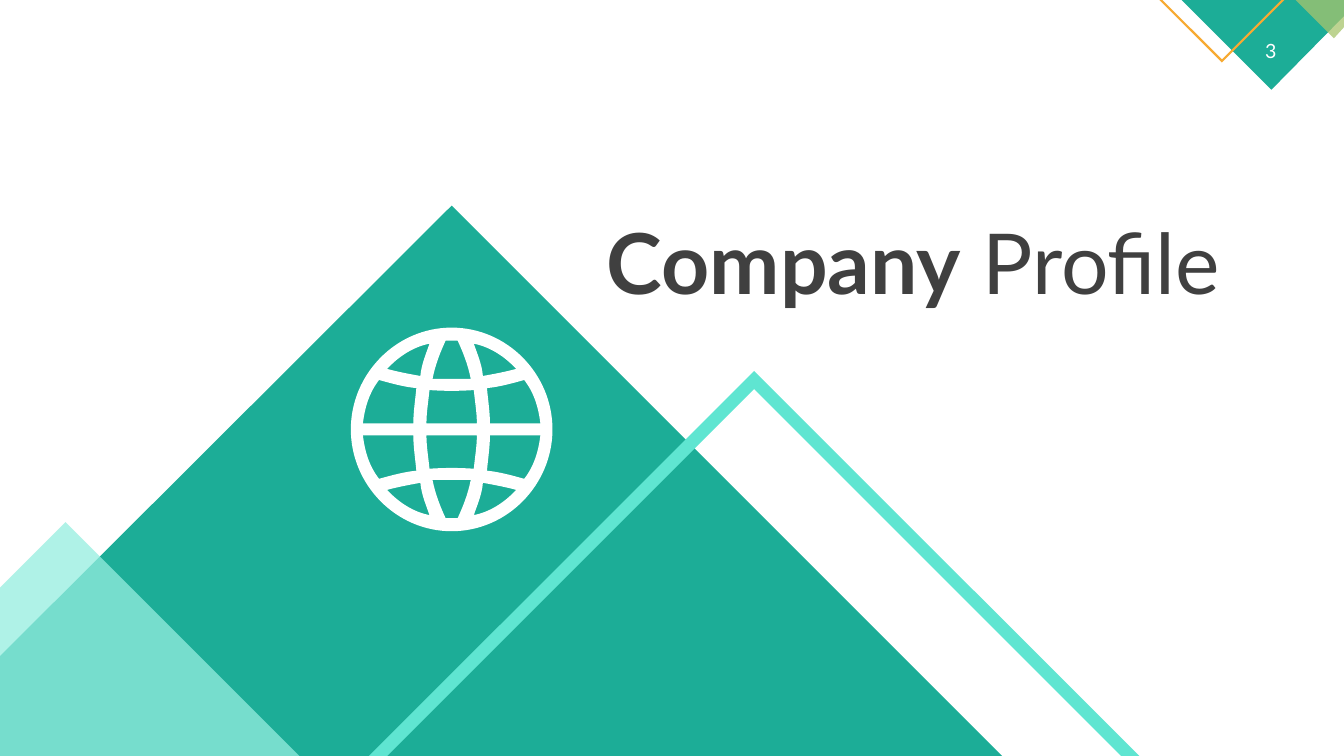
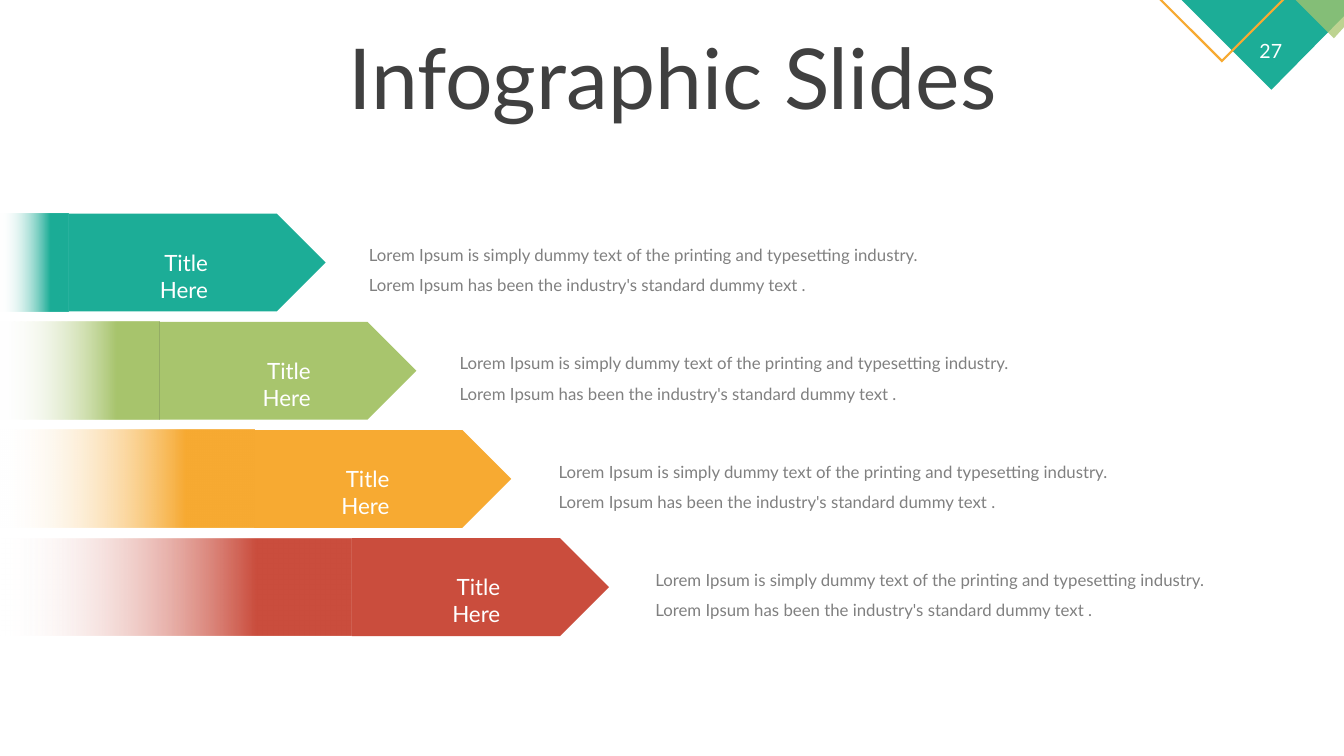
from dataclasses import dataclass

from lxml.etree import SubElement
from pptx import Presentation
from pptx.dml.color import RGBColor
from pptx.enum.shapes import MSO_SHAPE as Preset
from pptx.enum.text import MSO_AUTO_SIZE as AutoSize, PP_ALIGN as Align
from pptx.oxml.ns import qn
from pptx.util import Inches, Pt


@dataclass(frozen=True)
class Theme:
    font: str = "Lato"
    teal: str = "1CAD97"
    aqua: str = "5FE5D1"
    mist: str = "95EEE0"
    green: str = "A8C56D"
    orange: str = "F7AA32"
    red: str = "CA4D3D"
    white: str = "FFFFFF"
    ink: str = "404040"
    gray: str = "808080"
    title: int = 60
    label: int = 16
    number: int = 14
    body: int = 12


THEME = Theme()

COVER = {"number": "3", "title": [("Company", True), (" Profile", False)],
         "box": (5.92, 2.04, 6.46, 1.11)}
INFOGRAPHIC = {"number": "27", "title": [("Infographic Slides", False)],
               "box": (3.32, 0.2, 6.7, 1.11)}

LOREM = ("Lorem Ipsum is simply dummy text of the printing and typesetting industry. "
         "Lorem Ipsum has been the industry's standard dummy text .")
STEPS = [
    ("Title Here", LOREM, THEME.teal, 0.68, 1.05, 3.66),
    ("Title Here", LOREM, THEME.green, 1.58, 2.07, 4.56),
    ("Title Here", LOREM, THEME.orange, 2.52, 2.85, 5.54),
    ("Title Here", LOREM, THEME.red, 3.49, 3.95, 6.5),
]
FIRST_TOP, LAST_TOP, STEP_HEIGHT, ARROW_WIDTH = 2.12, 5.34, 0.97, 2.55

CORNER = [
    ([(11.72, 0), (13.33, 0), (13.33, 0.16), (12.61, 0.89)], THEME.teal, 100),
    ([(11.5, 0), (11.53, 0), (12.12, 0.59), (12.71, 0), (12.74, 0), (12.12, 0.62)],
     THEME.orange, 100),
    ([(12.85, 0), (13.33, 0), (13.33, 0.27), (13.23, 0.38)], THEME.green, 75),
]
MOUNTAINS = [
    ([(0, 7.5), (0, 6.51), (4.48, 2.04), (9.94, 7.5)], THEME.teal, 100),
    ([(3.66, 7.5), (3.84, 7.5), (7.48, 3.86), (11.12, 7.5), (11.3, 7.5), (7.48, 3.68)],
     THEME.aqua, 100),
    ([(0, 7.5), (0, 5.83), (0.65, 5.18), (2.97, 7.5)], THEME.mist, 75),
]

GLOBE_CENTER = (4.48, 4.26)
RIM = [[(0, -1.01)], [(-0.55, -1.01), (-1, -0.55), (-1, 0)],
       [(-1, 0.55), (-0.55, 1.01), (0, 1.01)],
       [(0.55, 1.01), (1, 0.55), (1, 0)],
       [(1, -0.55), (0.55, -1.01), (0, -1.01)]]
SIDE_PANE = [[(0.72, -0.49)], [(0.82, -0.36), (0.86, -0.22), (0.88, -0.06)],
             [(0.38, -0.06)], [(0.38, -0.17), (0.36, -0.3), (0.35, -0.41)],
             [(0.47, -0.42), (0.61, -0.46), (0.72, -0.49)]]
CORNER_PANE = [[(0.64, -0.6)], [(0.53, -0.57), (0.42, -0.55), (0.31, -0.53)],
               [(0.3, -0.65), (0.25, -0.76), (0.22, -0.85)],
               [(0.38, -0.82), (0.53, -0.72), (0.64, -0.6)]]
MIDDLE_PANE = [[(-0.25, -0.06)], [(-0.25, -0.17), (-0.23, -0.28), (-0.22, -0.39)],
               [(-0.08, -0.38), (0.08, -0.38), (0.22, -0.39)],
               [(0.23, -0.28), (0.25, -0.17), (0.25, -0.06)]]
CAP_PANE = [[(-0.06, -0.88)], [(0.06, -0.88)],
            [(0.11, -0.77), (0.16, -0.65), (0.19, -0.5)], [(-0.19, -0.5)],
            [(-0.16, -0.65), (-0.11, -0.77), (-0.06, -0.88)]]
PANES = [(SIDE_PANE, (1, -1)), (CORNER_PANE, (1, -1)), (MIDDLE_PANE, (1,)), (CAP_PANE, (1,))]


def set_alpha(shape, percent):
    color = next(shape._element.spPr.iter(qn("a:srgbClr")))
    SubElement(color, qn("a:alpha")).set("val", str(percent * 1000))


def paint(shape, color, opacity=100):
    shape.shadow.inherit = False
    shape.line.fill.background()
    shape.fill.solid()
    shape.fill.fore_color.rgb = RGBColor.from_string(color)
    if opacity < 100:
        set_alpha(shape, opacity)


def paint_fade(shape, color):
    shape.shadow.inherit = False
    shape.line.fill.background()
    shape.fill.gradient()
    shape.fill.gradient_angle = 0
    for stop, position, tone in zip(shape.fill.gradient_stops, (0, 0.73),
                                    (THEME.white, color)):
        stop.position = position
        stop.color.rgb = RGBColor.from_string(tone)
    set_alpha(shape, 0)


def add_outline(slide, contours, color, opacity=100):
    builder = None
    for contour in contours:
        start, *rest = [(Inches(x), Inches(y)) for x, y in contour]
        if builder is None:
            builder = slide.shapes.build_freeform(*start)
        else:
            builder.move_to(*start)
        builder.add_line_segments(rest, close=True)
    outline = builder.convert_to_shape()
    paint(outline, color, opacity)
    return outline


def bend(outline, segments):
    sides = list(outline._element.spPr.iter(qn("a:lnTo")))
    for side, segment in zip(sides, segments):
        if len(segment) == 1:
            continue
        side.tag = qn("a:cubicBezTo")
        side.remove(side[0])
        for x, y in segment:
            point = SubElement(side, qn("a:pt"))
            point.set("x", str(Inches(x) - outline.left))
            point.set("y", str(Inches(y) - outline.top))


def add_globe(slide):
    center_x, center_y = GLOBE_CENTER

    def place(contour, flip_x=1, flip_y=1):
        return [[(center_x + flip_x * x, center_y + flip_y * y) for x, y in segment]
                for segment in contour]

    contours = [place(RIM)]
    for pane, mirrors in PANES:
        contours += [place(pane, flip_x, flip_y) for flip_x in mirrors for flip_y in (1, -1)]
    anchors = [[segment[-1] for segment in contour] for contour in contours]
    globe = add_outline(slide, anchors, THEME.white)
    bend(globe, [segment for contour in contours for segment in contour[1:]])


def add_preset(slide, preset, *box):
    return slide.shapes.add_shape(preset, *map(Inches, box))


def add_text(slide, box, runs, size, color, align=Align.LEFT, inset=True, spacing=None):
    frame = slide.shapes.add_textbox(*map(Inches, box)).text_frame
    frame.word_wrap = True
    frame.auto_size = AutoSize.SHAPE_TO_FIT_TEXT
    if not inset:
        frame.margin_left = frame.margin_right = 0
        frame.margin_top = frame.margin_bottom = 0
    paragraph = frame.paragraphs[0]
    paragraph.alignment = align
    paragraph.line_spacing = spacing
    paragraph.font.name = THEME.font
    paragraph.font.size = Pt(size)
    paragraph.font.color.rgb = RGBColor.from_string(color)
    for text, bold in runs:
        run = paragraph.add_run()
        run.text = text
        if bold:
            run.font.bold = True


def start_slide(deck, content, title_align):
    slide = deck.slides.add_slide(deck.slide_layouts[6])
    for points, color, opacity in CORNER:
        add_outline(slide, [points], color, opacity)
    add_text(slide, (12.33, 0.34, 0.55, 0.34), [(content["number"], False)],
             THEME.number, THEME.white, Align.CENTER)
    add_text(slide, content["box"], content["title"], THEME.title, THEME.ink, title_align)
    return slide


def build_cover(deck):
    slide = start_slide(deck, COVER, Align.LEFT)
    for points, color, opacity in MOUNTAINS:
        add_outline(slide, [points], color, opacity)
    add_globe(slide)


def build_infographic(deck):
    slide = start_slide(deck, INFOGRAPHIC, Align.CENTER)
    pitch = (LAST_TOP - FIRST_TOP) / (len(STEPS) - 1)
    for i, (label, body, color, arrow_left, label_left, body_left) in enumerate(STEPS):
        top = FIRST_TOP + i * pitch
        paint(add_preset(slide, Preset.PENTAGON, arrow_left, top, ARROW_WIDTH, STEP_HEIGHT),
              color)
        paint_fade(add_preset(slide, Preset.RECTANGLE, 0, top, arrow_left, STEP_HEIGHT),
                   color)
        add_text(slide, (label_left, top + 0.3, 1.11, 0.37), [(label, False)],
                 THEME.label, THEME.white, Align.RIGHT)
        add_text(slide, (body_left, top + 0.21, 5.46, 0.57), [(body, False)],
                 THEME.body, THEME.gray, inset=False, spacing=1.5)


def main():
    deck = Presentation()
    deck.slide_width, deck.slide_height = Inches(13.33), Inches(7.5)
    build_cover(deck)
    build_infographic(deck)
    deck.save("out.pptx")


if __name__ == "__main__":
    main()
